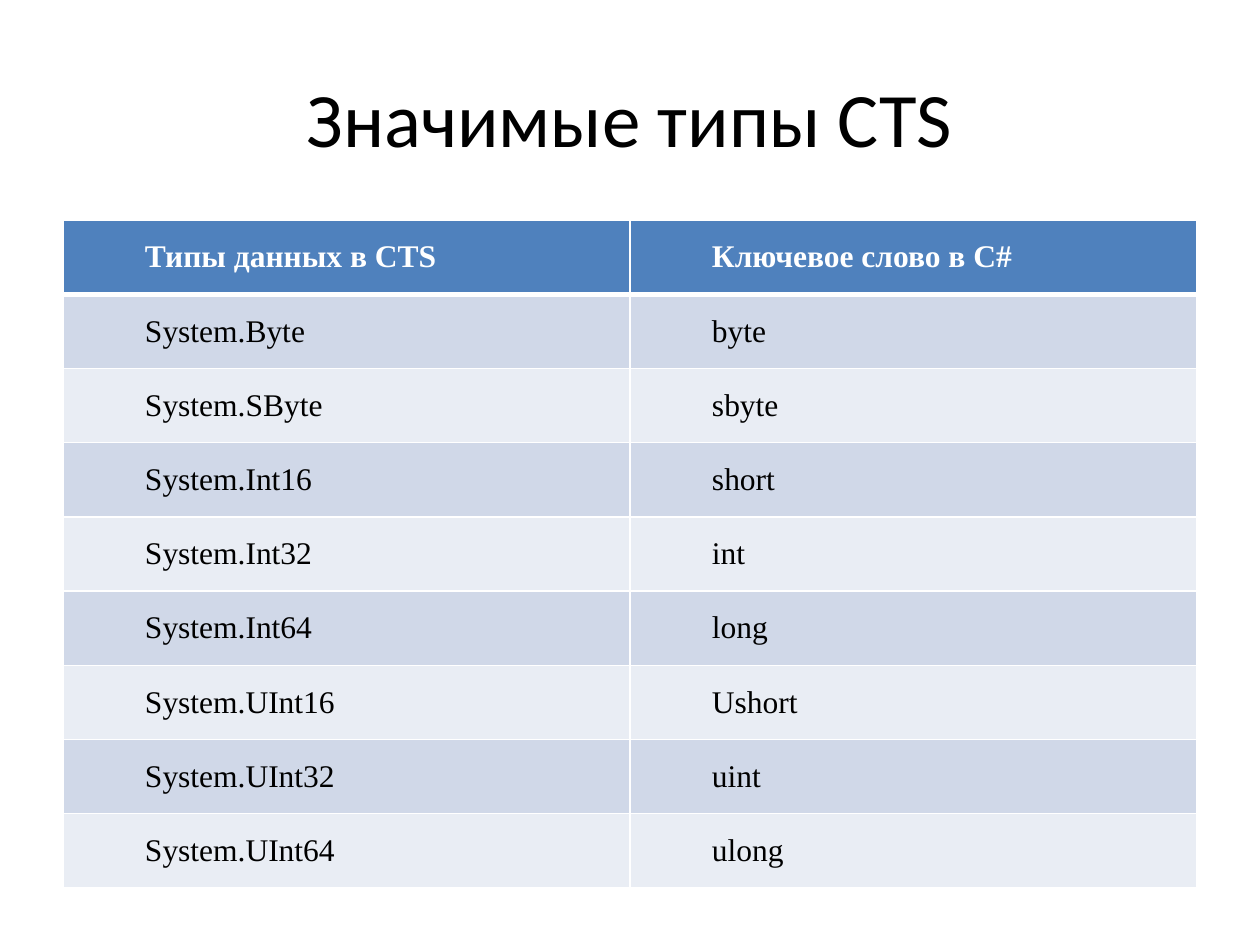
from dataclasses import dataclass

from lxml.etree import SubElement as Sub
from pptx import Presentation
from pptx.dml.color import RGBColor as Rgb
from pptx.enum.text import MSO_ANCHOR as Anchor, PP_ALIGN as Align
from pptx.oxml.ns import qn
from pptx.util import Pt

PX = 914400 / 126


def px(num):
    """Turn pixels into EMU."""
    return round(num * PX)


@dataclass(frozen=True)
class Theme:
    """Colours, fonts and type sizes."""
    ink: str = "000000"
    white: str = "FFFFFF"
    head: str = "4F81BD"
    bands: tuple = ("D0D8E8", "E9EDF4")
    sans: str = "Calibri"
    serif: str = "Times New Roman"
    title: int = 44
    body: int = 18
    thin: int = 1
    thick: int = 3


class Deck:
    """Draws themed elements on one slide."""

    def __init__(self, theme, wide, high):
        """Open a blank slide of the given size."""
        self.theme = theme
        self.prs = Presentation()
        self.prs.slide_width, self.prs.slide_height = px(wide), px(high)
        self.slide = self.prs.slides.add_slide(self.prs.slide_layouts[6])

    def run(self, para, text, face, size, tint, bold=False):
        """Add one styled run."""
        run = para.add_run()
        run.text = text
        font = run.font
        font.name, font.size, font.bold = face, Pt(size), bold
        font.color.rgb = Rgb.from_string(tint)

    def title(self, text, *box):
        """Add the centred title."""
        look = self.theme
        frame = self.slide.shapes.add_textbox(*map(px, box)).text_frame
        frame.word_wrap = True
        frame.vertical_anchor = Anchor.MIDDLE
        para = frame.paragraphs[0]
        para.alignment = Align.CENTER
        self.run(para, text, look.sans, look.title, look.ink)

    def edge(self, cell, side, width):
        """Add one white border to a cell."""
        line = Sub(cell._tc.get_or_add_tcPr(), qn(f"a:ln{side}"), w=str(Pt(width)))
        fill = Sub(line, qn("a:solidFill"))
        Sub(fill, qn("a:srgbClr"), val=self.theme.white)

    def cell(self, cell, row, text):
        """Fill one table cell by its row number."""
        look = self.theme
        head = row == 0
        wide = {"T": row == 1, "B": head}
        for side in "LRTB":
            self.edge(cell, side, look.thick if wide.get(side) else look.thin)
        cell.fill.solid()
        tint = look.head if head else look.bands[(row - 1) % 2]
        cell.fill.fore_color.rgb = Rgb.from_string(tint)
        cell.margin_left = cell.margin_right = px(20)
        cell.margin_top = cell.margin_bottom = px(18)
        cell.vertical_anchor = Anchor.MIDDLE
        para = cell.text_frame.paragraphs[0]
        para.alignment = Align.JUSTIFY
        para._p.get_or_add_pPr().set("marL", str(px(62)))
        self.run(para, text, look.serif, look.body,
                 look.white if head else look.ink, head)

    def table(self, rows, *box):
        """Add an evenly spaced table."""
        shape = self.slide.shapes.add_table(len(rows), len(rows[0]), *map(px, box))
        for num, row in enumerate(rows):
            for col, text in enumerate(row):
                self.cell(shape.table.cell(num, col), num, text)


TYPES = [
    ("Типы данных в CTS", "Ключевое слово в C#"),
    ("System.Byte", "byte"),
    ("System.SByte", "sbyte"),
    ("System.Int16", "short"),
    ("System.Int32", "int"),
    ("System.Int64", "long"),
    ("System.UInt16", "Ushort"),
    ("System.UInt32", "uint"),
    ("System.UInt64", "ulong"),
]


def main():
    """Build and save the slide."""
    deck = Deck(Theme(), 1260, 945)
    deck.title("Значимые типы CTS", 63, 38, 1134, 158)
    deck.table(TYPES, 63, 220, 1134, 668)
    deck.prs.save("out.pptx")


if __name__ == "__main__":
    main()
